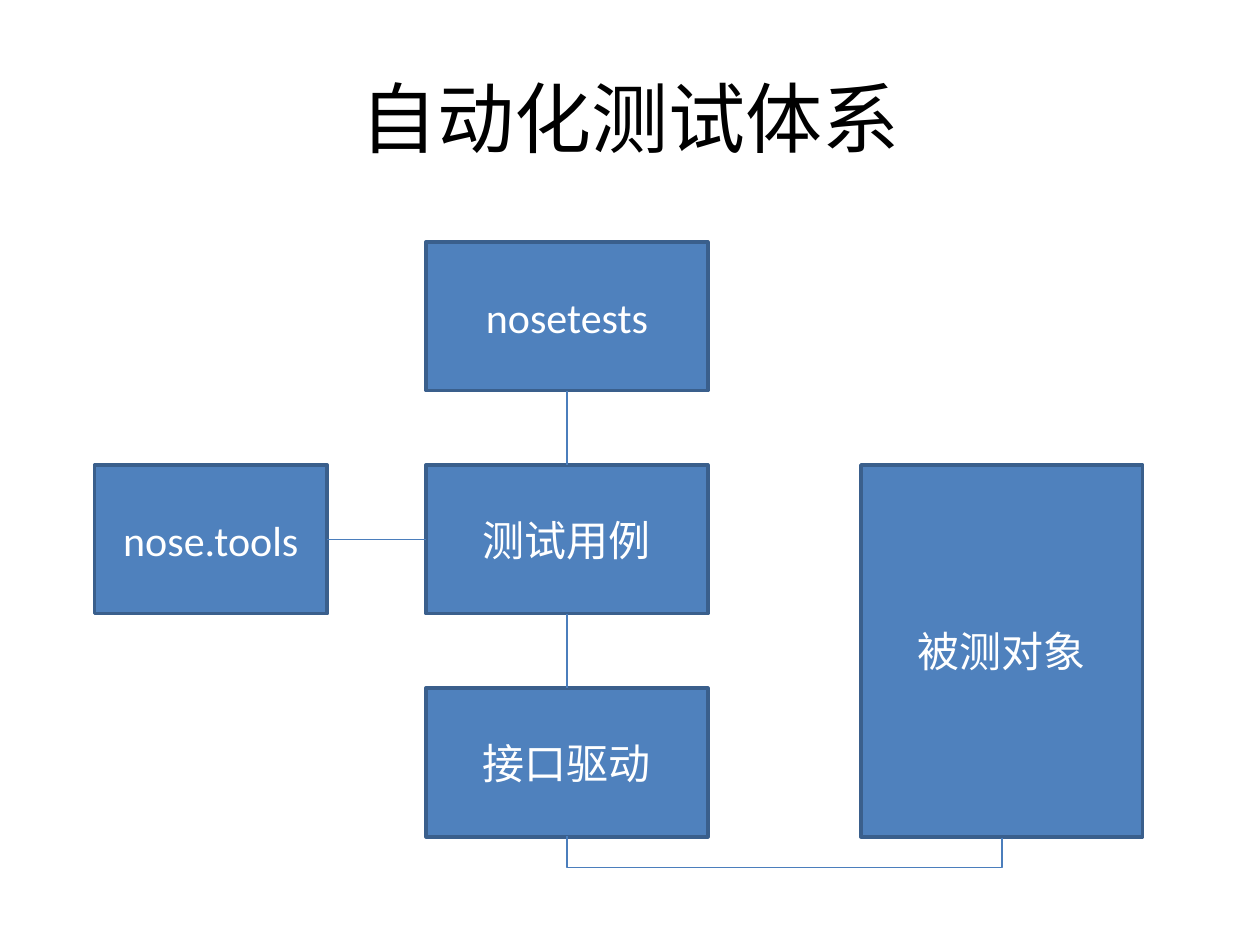
from dataclasses import dataclass

from lxml.etree import SubElement
from pptx import Presentation
from pptx.dml.color import RGBColor
from pptx.enum.shapes import MSO_CONNECTOR, MSO_SHAPE
from pptx.enum.text import MSO_ANCHOR, PP_ALIGN
from pptx.oxml.ns import qn
from pptx.shapes.autoshape import Shape
from pptx.shapes.connector import Connector
from pptx.slide import Slide
from pptx.text.text import TextFrame
from pptx.util import Pt

COLOURS = {"fill": "4F81BD", "border": "3A5F8C", "link": "4B7EBC",
           "title": "000000", "label": "FFFFFF"}
FONT = "Calibri"
BOX_WIDTH, BOX_HEIGHT = 161, 85
ROW_TOP, ROW_PITCH = 138.2, 127.5
CENTRE_LEFT, RIGHT_LEFT, TOOLS_LEFT = 243.5, 492, 54
TOP, LEFT, BOTTOM, RIGHT = range(4)  # connection sites of a rectangle


@dataclass
class Block:
    """A labelled box; it starts at a row and may span several."""
    label: str
    left: float
    row: int
    width: float = BOX_WIDTH
    rows: int = 1


@dataclass
class Link:
    """A straight line between two sites of named boxes."""
    start: str
    start_site: int
    end: str
    end_site: int


BLOCKS = [
    Block("nosetests", CENTRE_LEFT, 0),
    Block("测试用例", CENTRE_LEFT, 1),
    Block("接口驱动", CENTRE_LEFT, 2),
    Block("被测对象", RIGHT_LEFT, 1, rows=2),
    Block("nose.tools", TOOLS_LEFT, 1, width=133),
]
LINKS = [
    Link("nosetests", BOTTOM, "测试用例", TOP),
    Link("测试用例", BOTTOM, "接口驱动", TOP),
    Link("测试用例", LEFT, "nose.tools", RIGHT),
]


def colour(name: str) -> RGBColor:
    """Look up a named colour."""
    return RGBColor.from_string(COLOURS[name])


def write(frame: TextFrame, text: str, size: float, colour_name: str) -> None:
    """Write one centred run in the middle of a frame."""
    frame.word_wrap = True
    frame.vertical_anchor = MSO_ANCHOR.MIDDLE
    para = frame.paragraphs[0]
    para.alignment = PP_ALIGN.CENTER
    span = para.add_run()
    span.text = text
    span.font.name = FONT
    span.font.size = Pt(size)
    span.font.color.rgb = colour(colour_name)


def draw_block(page: Slide, block: Block) -> Shape:
    """Draw a labelled box."""
    height = BOX_HEIGHT + (block.rows - 1) * ROW_PITCH
    box = page.shapes.add_shape(
        MSO_SHAPE.RECTANGLE, Pt(block.left), Pt(ROW_TOP + block.row * ROW_PITCH),
        Pt(block.width), Pt(height))
    box.shadow.inherit = False
    box.fill.solid()
    box.fill.fore_color.rgb = colour("fill")
    box.line.color.rgb = colour("border")
    box.line.width = Pt(2)
    write(box.text_frame, block.label, 24, "label")
    return box


def style_link(line: Connector) -> None:
    """Give a connector its colour and width, without a shadow."""
    line.line.color.rgb = colour("link")
    line.line.width = Pt(0.75)
    SubElement(line._element.spPr, qn("a:effectLst"))


def draw_link(page: Slide, link: Link, boxes: dict[str, Shape]) -> None:
    """Join two boxes with a straight line."""
    line = page.shapes.add_connector(MSO_CONNECTOR.STRAIGHT, 0, 0, 0, 0)
    line.begin_connect(boxes[link.start], link.start_site)
    line.end_connect(boxes[link.end], link.end_site)
    style_link(line)


def draw_loop(page: Slide, start_x: float, end_x: float, bottom: float,
              drop: int) -> None:
    """Draw an elbow that runs below two boxes: a 1 pt wide one, turned."""
    middle, half = (start_x + end_x) / 2, (end_x - start_x) / 2
    line = page.shapes.add_connector(
        MSO_CONNECTOR.ELBOW, Pt(middle + 0.5), Pt(bottom - half),
        Pt(middle - 0.5), Pt(bottom + half))
    properties = line._element.spPr
    properties.find(qn("a:xfrm")).set("rot", str(270 * 60000))
    adjustments = properties.find(qn("a:prstGeom")).find(qn("a:avLst"))
    SubElement(adjustments, qn("a:gd"), name="adj1", fmla=f"val {drop * 100000}")
    style_link(line)


def build() -> None:
    """Build the slide and save it."""
    deck = Presentation()
    deck.slide_width, deck.slide_height = Pt(720), Pt(540)
    page = deck.slides.add_slide(deck.slide_layouts[5])
    title = page.shapes.title
    title.left, title.top, title.width, title.height = Pt(36), Pt(21.6), Pt(648), Pt(90)
    write(title.text_frame, "自动化测试体系", 44, "title")
    boxes = {block.label: draw_block(page, block) for block in BLOCKS}
    for link in LINKS:
        draw_link(page, link, boxes)
    draw_loop(page, CENTRE_LEFT + BOX_WIDTH / 2, RIGHT_LEFT + BOX_WIDTH / 2,
              ROW_TOP + 2 * ROW_PITCH + BOX_HEIGHT, 18)
    deck.save("out.pptx")


build()
